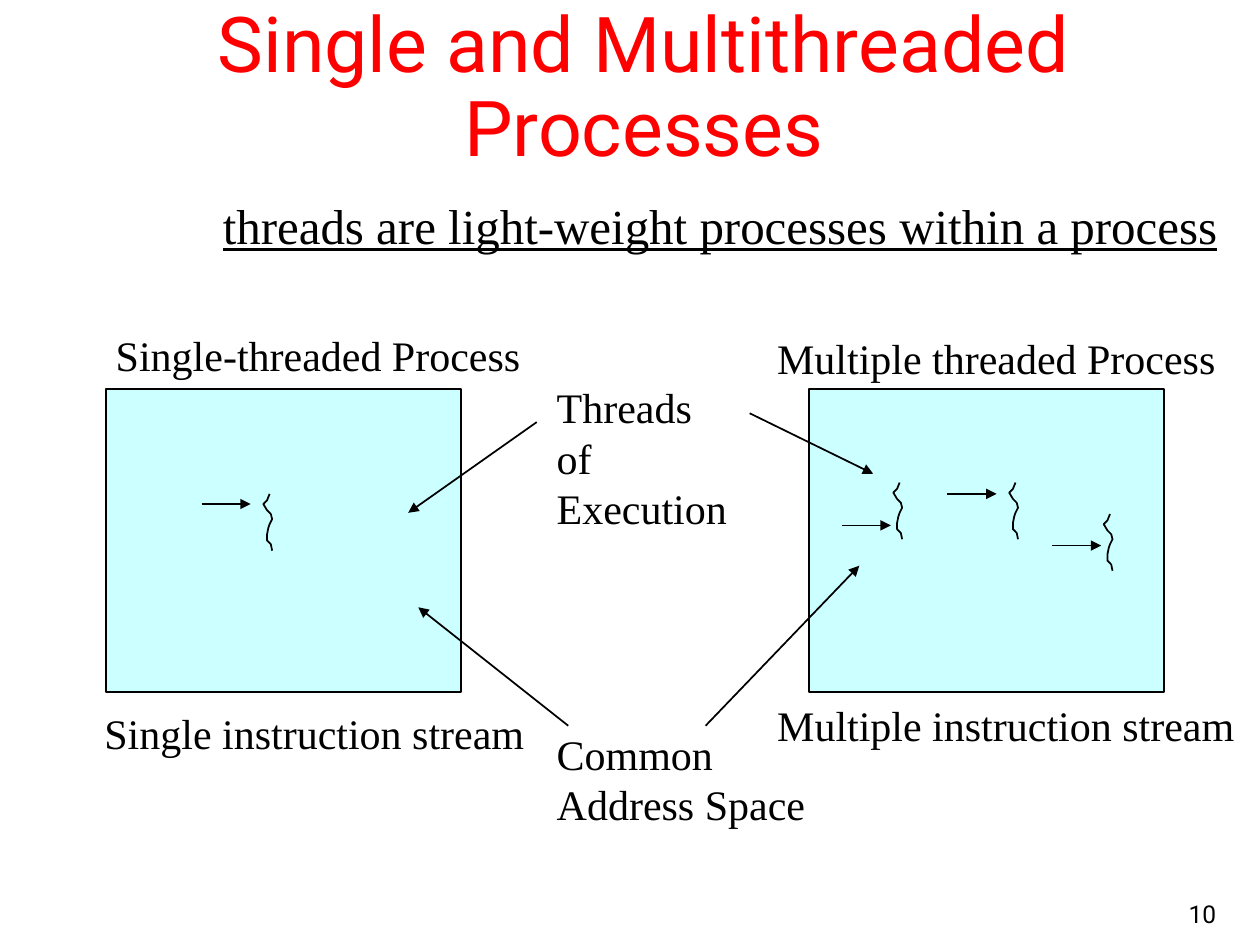
from lxml.etree import SubElement
from pptx import Presentation
from pptx.dml.color import RGBColor
from pptx.enum.shapes import MSO_CONNECTOR, MSO_SHAPE
from pptx.enum.text import MSO_ANCHOR, PP_ALIGN
from pptx.oxml.ns import qn
from pptx.util import Inches, Pt

COLORS = {"title": "FF0000", "ink": "000000", "process": "CCFFFF"}
SERIF, SANS = "Times New Roman", "Roboto"

TITLE = ("Single and Multithreaded Processes", 0.22, 0.17, 9.78, 1.08)
SUBTITLE = ("threads are light-weight processes within a process", 1.67, 1.5, 8.1, 0.57)
PAGE_NUMBER = ("10", 7.67, 6.92, 2.08, 0.5)
LABELS = [
    ("Single-threaded Process", 0.82, 2.57, 3.41, 0.5),
    ("Single instruction stream", 0.73, 5.57, 4.26, 0.5),
    ("Multiple threaded Process", 6.07, 2.59, 3.93, 0.5),
    ("Multiple instruction stream", 6.07, 5.5, 3.85, 0.5),
    ("Threads of\nExecution", 4.32, 2.98, 1.63, 0.9),
    ("Common\nAddress Space", 4.32, 5.73, 2.17, 0.9),
]

PROCESS_LEFTS = [0.84, 6.42]
PROCESS_TOP, PROCESS_WIDTH, PROCESS_HEIGHT = 3.09, 2.82, 2.4

THREADS = [
    {"squiggle": (2.09, 3.92), "arrow": (1.6, 4.0)},
    {"squiggle": (8.01, 3.83), "arrow": (7.52, 3.92)},
    {"squiggle": (8.76, 4.08), "arrow": (8.35, 4.33)},
    {"squiggle": (7.09, 3.83), "arrow": (6.68, 4.17)},
]
SQUIGGLE = [
    (0.05, 0), (0.03, 0.05), (0, 0.08), (0.03, 0.13), (0.06, 0.16), (0.07, 0.2),
    (0.05, 0.24), (0.04, 0.27), (0.03, 0.32), (0.03, 0.37), (0.06, 0.4), (0.07, 0.45),
]
THREAD_ARROW_LENGTH = 0.39

POINTERS = [
    ((4.51, 5.76), (3.32, 4.82)),
    ((4.26, 3.35), (3.24, 4.07)),
    ((5.6, 5.76), (6.82, 4.49)),
    ((5.95, 3.28), (6.93, 3.76)),
]


def color(name):
    return RGBColor.from_string(COLORS[name])


def style_line(shape):
    shape.line.color.rgb = color("ink")
    shape.line.width = Pt(1)


def add_text(page, item, size, font=SERIF, ink="ink", align=PP_ALIGN.LEFT,
             anchor=MSO_ANCHOR.TOP, wrap=False, spacing=None, underline=None):
    words, *place = item
    box = page.shapes.add_textbox(*map(Inches, place))
    frame = box.text_frame
    frame.word_wrap = wrap
    frame.vertical_anchor = anchor
    frame.text = words
    for paragraph in frame.paragraphs:
        paragraph.alignment = align
        paragraph.line_spacing = spacing
        for span in paragraph.runs:
            span.font.name = font
            span.font.size = Pt(size)
            span.font.color.rgb = color(ink)
            span.font.underline = underline


def add_process(page, left):
    box = page.shapes.add_shape(
        MSO_SHAPE.RECTANGLE,
        *map(Inches, (left, PROCESS_TOP, PROCESS_WIDTH, PROCESS_HEIGHT)))
    box.shadow.inherit = False
    box.fill.solid()
    box.fill.fore_color.rgb = color("process")
    style_line(box)


def add_arrow(page, start, end):
    arrow = page.shapes.add_connector(
        MSO_CONNECTOR.STRAIGHT, *map(Inches, (*start, *end)))
    style_line(arrow)
    SubElement(arrow.line._get_or_add_ln(), qn("a:tailEnd"), type="triangle")
    SubElement(arrow._element.spPr, qn("a:effectLst"))


def add_thread(page, squiggle, arrow):
    left, top = squiggle
    points = [(Inches(left + x), Inches(top + y)) for x, y in SQUIGGLE]
    builder = page.shapes.build_freeform(*points[0])
    builder.add_line_segments(points[1:], close=False)
    curve = builder.convert_to_shape()
    curve.shadow.inherit = False
    curve.fill.background()
    style_line(curve)
    x, y = arrow
    add_arrow(page, arrow, (x + THREAD_ARROW_LENGTH, y))


def main():
    deck = Presentation()
    deck.slide_width, deck.slide_height = Inches(10), Inches(7.5)
    page = deck.slides.add_slide(deck.slide_layouts[6])

    add_text(page, PAGE_NUMBER, 14, SANS, align=PP_ALIGN.RIGHT,
             anchor=MSO_ANCHOR.BOTTOM, wrap=True)
    add_text(page, TITLE, 44, SANS, "title", PP_ALIGN.CENTER,
             MSO_ANCHOR.MIDDLE, wrap=True, spacing=0.9)
    for left in PROCESS_LEFTS:
        add_process(page, left)
    for thread in THREADS:
        add_thread(page, **thread)
    for label in LABELS:
        add_text(page, label, 24)
    for start, end in POINTERS:
        add_arrow(page, start, end)
    add_text(page, SUBTITLE, 28, underline=True)

    deck.save("out.pptx")


if __name__ == "__main__":
    main()
